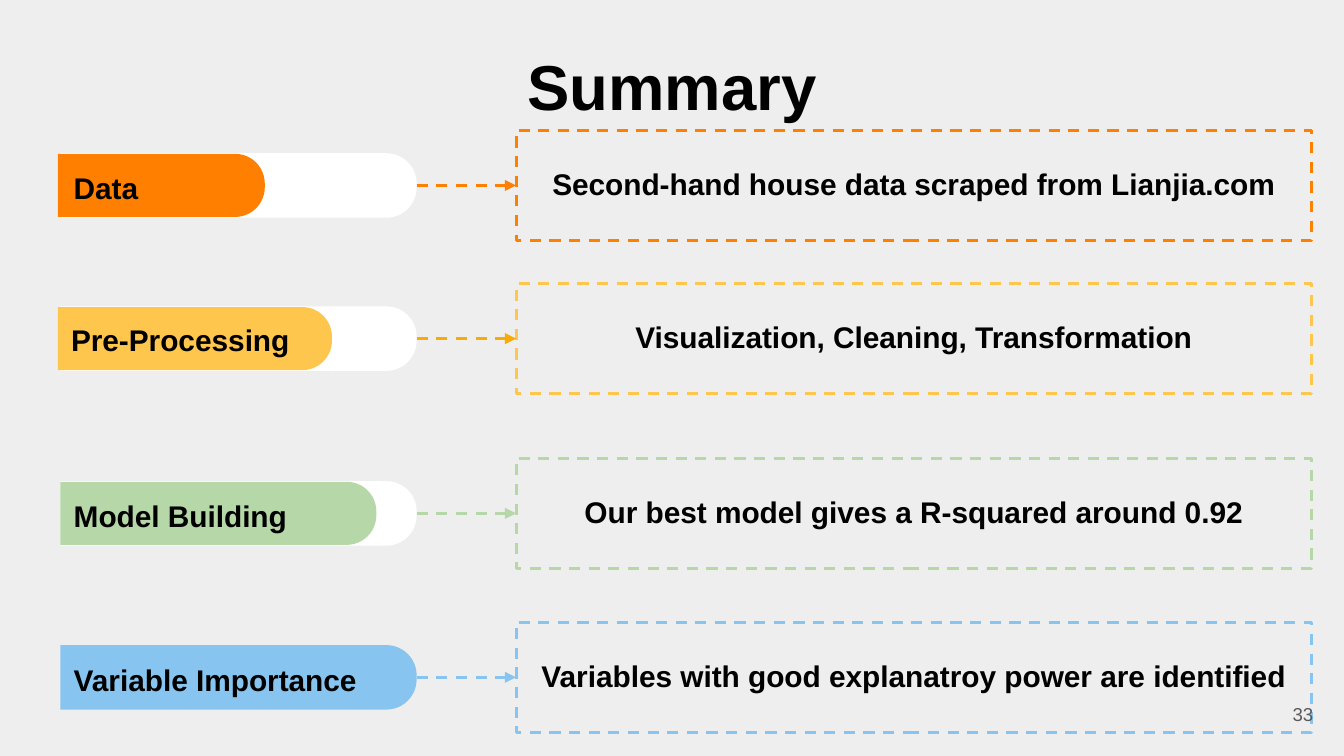
import pptx
import pptx.util
import pptx.dml.color
import pptx.enum.dml
import pptx.enum.shapes
import pptx.enum.text
import pptx.oxml.ns
import lxml.etree

Inches = pptx.util.Inches
SHAPE = pptx.enum.shapes.MSO_SHAPE
ALIGN = pptx.enum.text.PP_ALIGN
ANCHOR = pptx.enum.text.MSO_ANCHOR
DASH = pptx.enum.dml.MSO_LINE.DASH

BACKGROUND = "EEEEEE"
BAR_W, BAR_H = 2.65, 0.48
ROW_H = 0.82
DETAIL_X = 3.39  # from the left of the row

# top, label, detail, bar colour, bar width, arrow colour, bar shift,
# label shift across and down
ROWS = [
    (0.97, "Data", "Second-hand house data scraped from Lianjia.com",
     "FF8001", 1.54, "FF8001", -0.02, 0, 0),
    (2.11, "Pre-Processing", "Visualization, Cleaning, Transformation",
     "FFC64E", 2.04, "F8AA05", -0.02, -0.02, -0.01),
    (3.41, "Model Building", "Our best model gives a R-squared around 0.92",
     "B6D7A8", 2.35, "B6D7A8", 0, 0, 0),
    (4.63, "Variable Importance",
     "Variables with good explanatroy power are identified",
     "87C5F0", BAR_W, "87C5F0", 0, 0, 0),
]


def rgb(value):
    return pptx.dml.color.RGBColor.from_string(value)


def add_text(s, text, x, y, w, h, size=16, bold=True, color="000000",
             align=ALIGN.LEFT, anchor=ANCHOR.TOP):
    sp = s.shapes.add_textbox(Inches(x), Inches(y), Inches(w), Inches(h))
    tf = sp.text_frame
    tf.word_wrap = True
    tf.vertical_anchor = anchor
    tf.margin_left = tf.margin_right = Inches(0.1)
    tf.margin_top = tf.margin_bottom = Inches(0.1)
    p = tf.paragraphs[0]
    p.alignment = align
    r = p.add_run()
    r.text = text
    r.font.name = "Arial"
    r.font.size = pptx.util.Pt(size)
    r.font.bold = bold
    r.font.color.rgb = rgb(color)


def dash_line(line, color):
    line.color.rgb = rgb(color)
    line.width = pptx.util.Pt(1.5)
    line.dash_style = DASH


def add_bar(s, x, mid, w, h, color):
    """Bar with a rounded right end, centred on the height mid."""
    # The preset is rounded at the top, so it is turned a quarter clockwise
    sp = s.shapes.add_shape(
        SHAPE.ROUND_2_SAME_RECTANGLE, Inches(x + (w - h) / 2),
        Inches(mid - w / 2), Inches(h), Inches(w))
    sp.rotation = 90
    sp.adjustments[0] = 0.47
    sp.adjustments[1] = 0
    sp.shadow.inherit = False
    sp.fill.solid()
    sp.fill.fore_color.rgb = rgb(color)
    sp.line.fill.background()


def add_arrow(s, x, mid, target, color):
    c = s.shapes.add_connector(
        pptx.enum.shapes.MSO_CONNECTOR.STRAIGHT,
        Inches(x), Inches(mid), target.left, Inches(mid))
    c.end_connect(target, 1)
    dash_line(c.line, color)
    qn = pptx.oxml.ns.qn
    lxml.etree.SubElement(c.line._get_or_add_ln(), qn("a:tailEnd"),
                          type="triangle")
    lxml.etree.SubElement(c._element.spPr, qn("a:effectLst"))


def add_row(s, x, y, w, label, detail, color, bar_w, arrow_color,
            bar_shift, label_dx, label_dy):
    mid = y + ROW_H / 2
    detail_x, detail_w = x + DETAIL_X, w - DETAIL_X

    # Progress bar on its white track
    if bar_w < BAR_W:
        add_bar(s, x, mid, BAR_W, BAR_H, "FFFFFF")
    add_bar(s, x + bar_shift, mid, bar_w,
            BAR_H - 0.01 if bar_w < BAR_W else BAR_H, color)

    # Dashed frame and the arrow to it
    frame = s.shapes.add_shape(SHAPE.RECTANGLE, Inches(detail_x), Inches(y),
                               Inches(detail_w), Inches(ROW_H))
    frame.shadow.inherit = False
    frame.fill.background()
    dash_line(frame.line, color)
    add_arrow(s, x + BAR_W, mid, frame, arrow_color)

    # Wording
    add_text(s, label, x + label_dx, mid - 0.22 + label_dy, BAR_W, 0.47)
    add_text(s, detail, detail_x, mid - 0.25, detail_w, 0.47,
             align=ALIGN.CENTER)


def main():
    prs = pptx.Presentation()
    prs.slide_width = Inches(10)
    prs.slide_height = prs.slide_width * 9 // 16
    s = prs.slides.add_slide(prs.slide_layouts[6])
    s.background.fill.solid()
    s.background.fill.fore_color.rgb = rgb(BACKGROUND)

    add_text(s, "Summary", 0.34, 0.25, 9.32, 0.63, size=34,
             align=ALIGN.CENTER)
    for top, *parts in ROWS:
        add_row(s, 0.45, top, 9.31, *parts)

    # Page number
    add_text(s, "33", 9.27, 5.1, 0.6, 0.43, size=10, bold=False,
             color="595959", align=ALIGN.RIGHT, anchor=ANCHOR.MIDDLE)
    prs.save("out.pptx")


if __name__ == "__main__":
    main()
